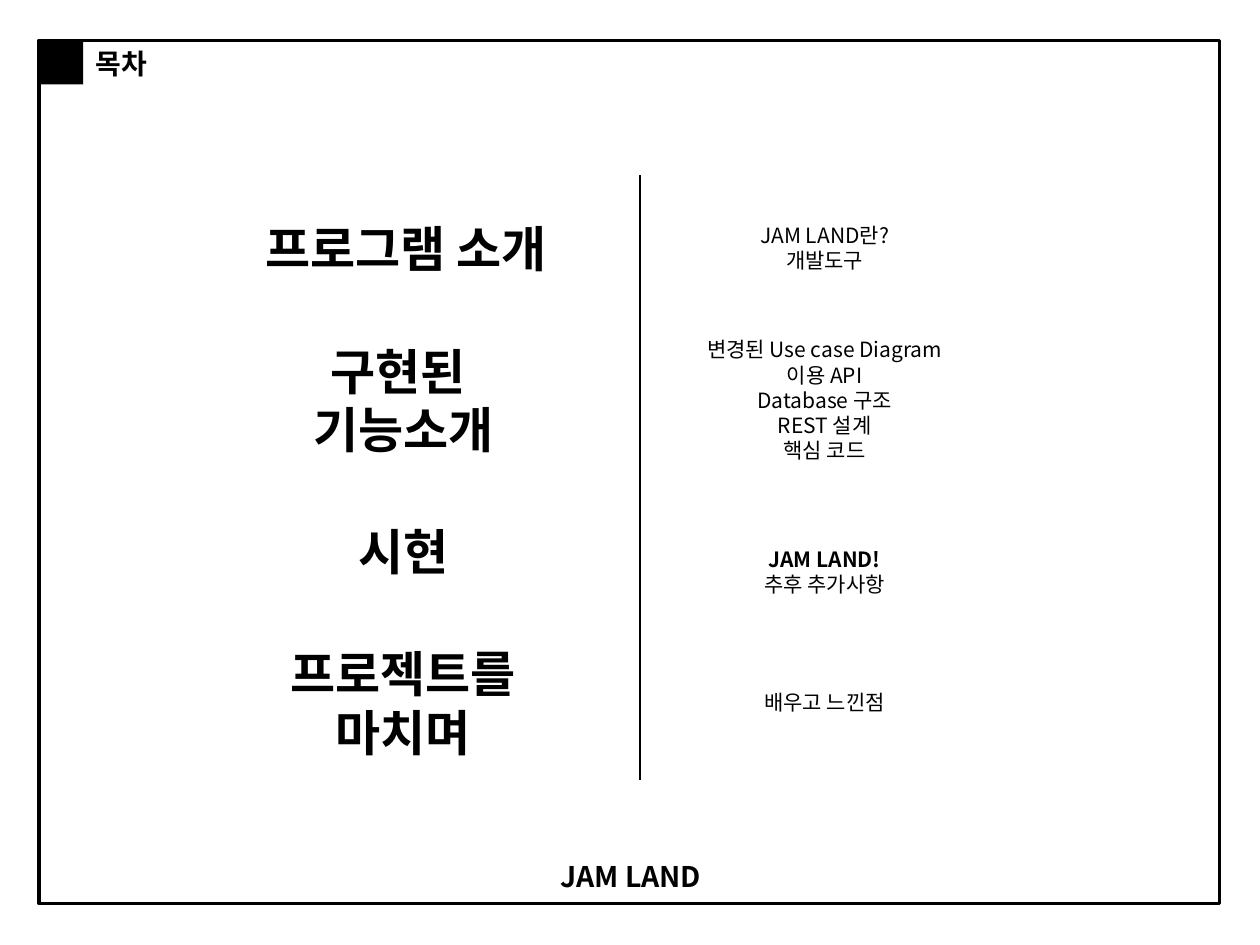
from lxml.etree import SubElement
from pptx import Presentation
from pptx.dml.color import RGBColor as RGB
from pptx.enum.shapes import MSO_CONNECTOR as LINE, MSO_SHAPE as SHAPE
from pptx.enum.text import MSO_ANCHOR as ANCHOR, MSO_AUTO_SIZE as AUTO, PP_ALIGN as ALIGN
from pptx.oxml.ns import qn
from pptx.util import Inches, Pt

FONT = "Noto Sans CJK KR"
HEX = {"ink": "000000", "paper": "FFFFFF"}
INK = RGB.from_string(HEX["ink"])

deck = Presentation()
deck.slide_width, deck.slide_height = Inches(10), Inches(7.5)
slide = deck.slides.add_slide(deck.slide_layouts[5])
slide.background.fill.solid()
slide.background.fill.fore_color.rgb = RGB.from_string(HEX["paper"])
shapes = slide.shapes


def write(box, lines, size):
    """Fill a box with centred lines, each a (text, bold) pair."""
    frame = box.text_frame
    frame.word_wrap = True
    frame.auto_size = AUTO.NONE
    frame.vertical_anchor = ANCHOR.MIDDLE
    for i, (text, bold) in enumerate(lines):
        para = frame.add_paragraph() if i else frame.paragraphs[0]
        para.alignment = ALIGN.CENTER
        para.line_spacing = Pt(size * 1.2)
        para.space_before = Pt(0)
        run = para.add_run()
        run.text = text
        font = run.font
        font.size, font.bold, font.name = Pt(size), bold, FONT
        font.color.rgb = INK
        SubElement(font._element, qn("a:ea"), typeface=FONT)


def add_text(left, top, width, height, lines, size):
    box = shapes.add_textbox(Inches(left), Inches(top), Inches(width), Inches(height))
    write(box, lines, size)


# Project name at the foot
title = shapes.title
title.left, title.top = Inches(4.1), Inches(6.8)
title.width, title.height = Inches(1.81), Inches(0.31)
write(title, [("JAM LAND", True)], 16.2)

# Page frame and corner block
frame = shapes.add_shape(SHAPE.RECTANGLE, Inches(0.31), Inches(0.32), Inches(9.37), Inches(6.85))
frame.fill.background()
frame.line.color.rgb = INK
frame.line.width = Pt(2)
block = shapes.add_shape(SHAPE.RECTANGLE, Inches(0.31), Inches(0.32), Inches(0.35), Inches(0.35))
block.fill.solid()
block.fill.fore_color.rgb = INK
block.line.fill.background()
for shape in (frame, block):
    shape.shadow.inherit = False

# Page heading
add_text(0.14, 0.32, 1.65, 0.37, [("목차", True)], 16)

# Divider between chapters and topics
rule = shapes.add_connector(LINE.STRAIGHT, Inches(5.08), Inches(1.39), Inches(5.08), Inches(6.19))
rule.line.color.rgb = INK
rule.line.width = Pt(0.75)
SubElement(rule._element.spPr, qn("a:effectLst"))

# Chapters on the left, their topics on the right: (top, lines)
chapters = [
    (1.65, ["프로그램 소개"]),
    (2.86, ["구현된 ", "기능소개"]),
    (4.06, ["시현"]),
    (5.26, ["프로젝트를 마치며"]),
]
topics = [
    (1.65, [("JAM LAND란?", False), ("개발도구", False)]),
    (2.86, [("변경된 Use case Diagram", False), ("이용 API", False),
            ("Database 구조", False), ("REST 설계", False), ("핵심 코드", False)]),
    (4.22, [("JAM LAND!", True), ("추후 추가사항", False)]),
    (5.26, [("배우고 느낀점", False)]),
]
for top, names in chapters:
    wide = top == 1.65
    add_text(1.79 if wide else 2.02, top, 2.86 if wide else 2.36, 0.63,
             [(name, True) for name in names], 28)
for top, lines in topics:
    add_text(5.47, top, 2.15, 0.63, lines, 12)

deck.save("out.pptx")
